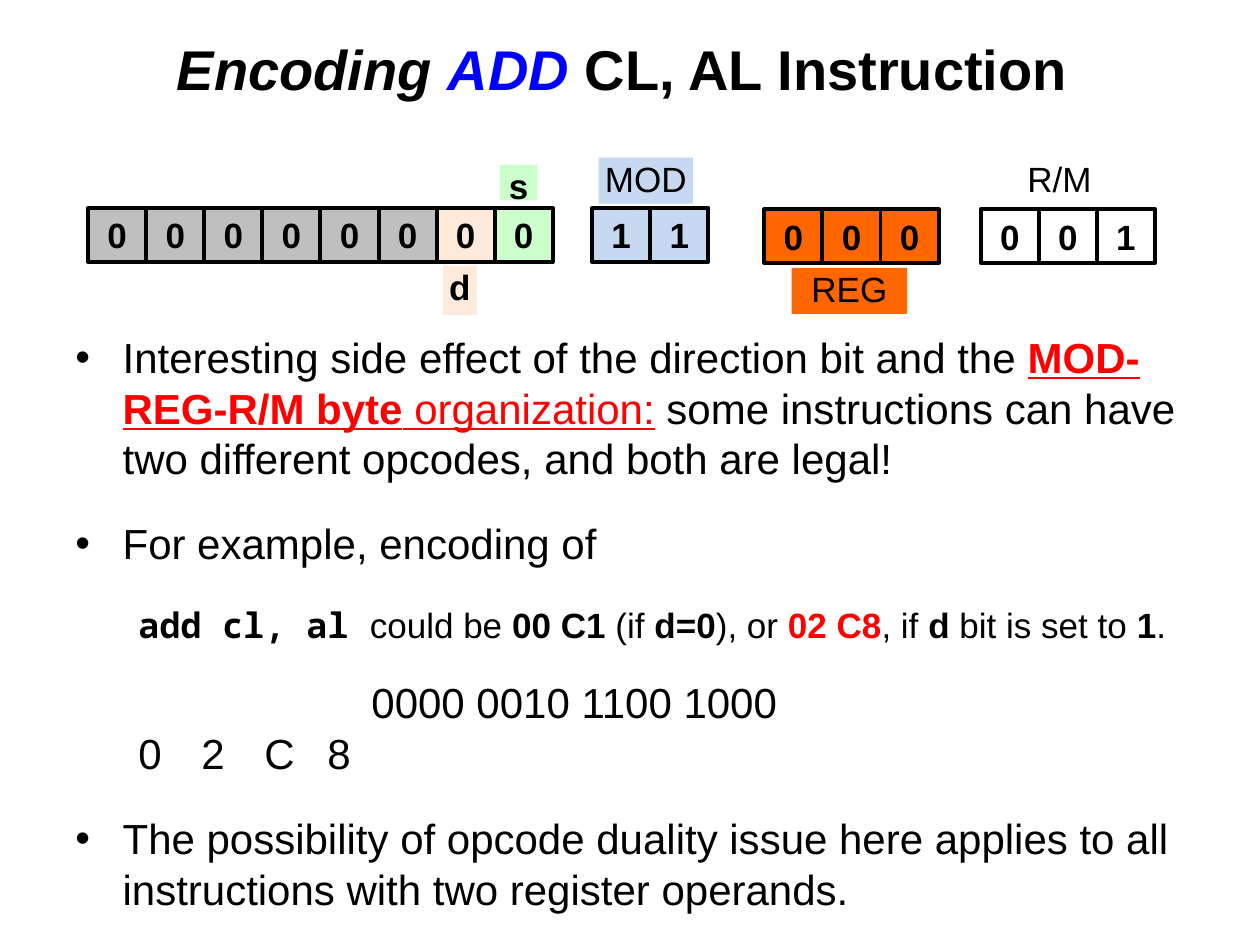
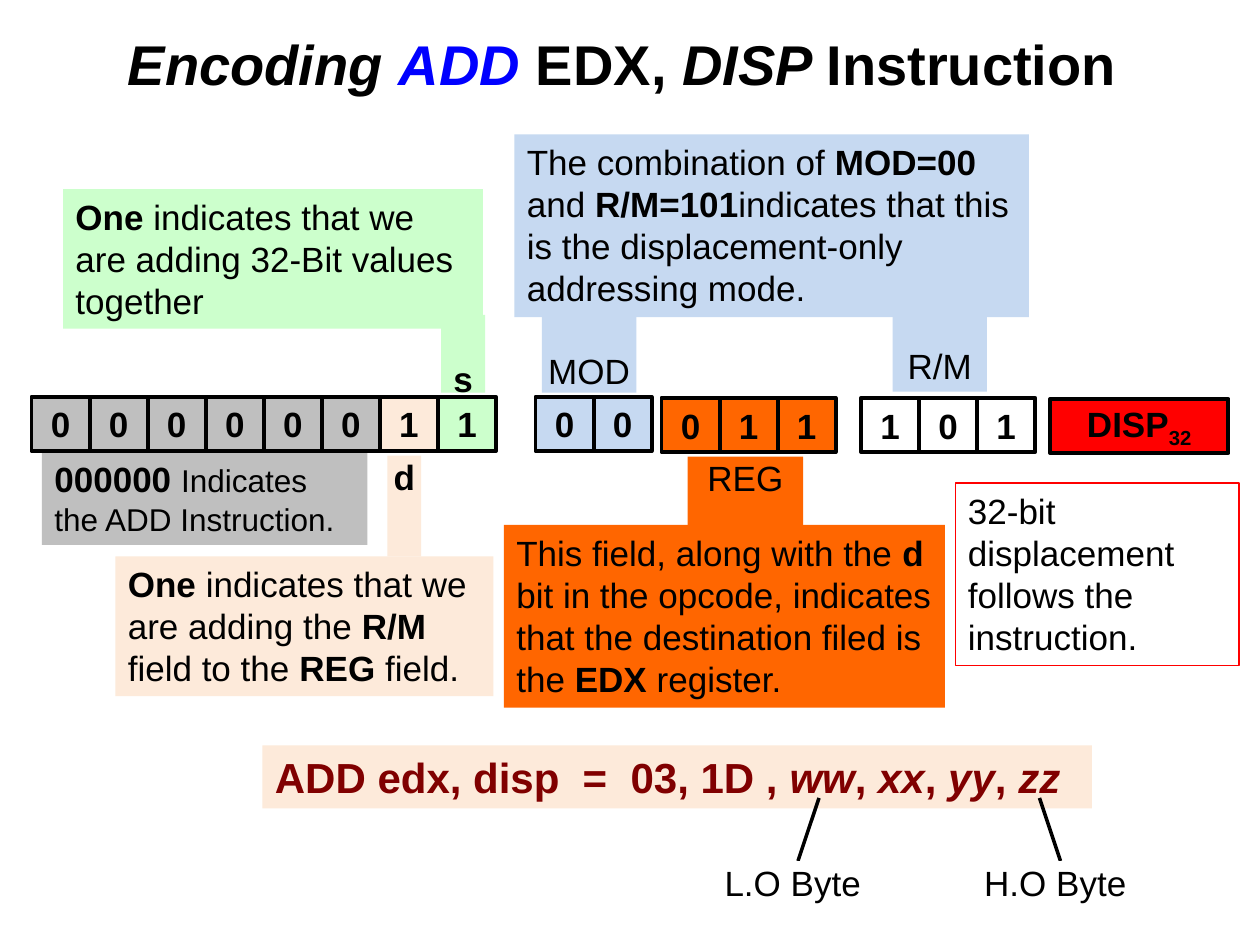
from lxml import etree
from pptx import Presentation
from pptx import util as u
from pptx.dml.color import RGBColor
from pptx.enum import shapes, text
from pptx.oxml.ns import qn

# Grid: 12 columns and 12 rows to the inch
COLUMNS, ROWS = 120, 90
CELL_WIDTH, CELL_HEIGHT = 5.53, 5.16

BLACK = RGBColor(0, 0, 0)
WHITE = RGBColor(255, 255, 255)
BLUE = RGBColor(0, 0, 255)
RED = RGBColor(255, 0, 0)
MAROON = RGBColor(128, 0, 0)
GREY = RGBColor(0xBF, 0xBF, 0xBF)
PEACH = RGBColor(0xFD, 0xEA, 0xDA)
MINT = RGBColor(0xCC, 0xFF, 0xCC)
PALE_BLUE = RGBColor(0xC6, 0xD9, 0xF1)
ORANGE = RGBColor(0xFF, 0x66, 0x00)

# Run styles
BOLD = {"bold": True}
ITALIC = {"italic": True}
PLAIN = {"italic": False}
OPCODE_FILLS = [GREY] * 6 + [PEACH, MINT]


class Deck:
    """Holds the style and the current slide."""

    def __init__(self):
        self.presentation = Presentation()
        self.presentation.slide_width = u.Inches(10)
        self.presentation.slide_height = u.Inches(7.5)
        self.slide = None

    def x(self, columns):
        return round(self.presentation.slide_width * columns / COLUMNS)

    def y(self, rows):
        return round(self.presentation.slide_height * rows / ROWS)

    def area(self, column, row, width, height):
        return self.x(column), self.y(row), self.x(width), self.y(height)

    def new_slide(self, title_height, title_runs):
        layout = self.presentation.slide_layouts[6]
        self.slide = self.presentation.slides.add_slide(layout)
        box = self.slide.shapes.add_textbox(*self.area(6, 2, 108, title_height))
        frame = box.text_frame
        frame.word_wrap = True
        frame.vertical_anchor = text.MSO_ANCHOR.MIDDLE
        self.add_runs(frame.paragraphs[0], title_runs, 32, centred=True,
                      bold=True, italic=True)

    def add_runs(self, paragraph, runs, size, centred=False, **base):
        """Add runs, each a string or a (string, style) pair."""
        paragraph.alignment = text.PP_ALIGN.CENTER if centred else text.PP_ALIGN.LEFT
        for item in runs:
            words, style = (item, {}) if isinstance(item, str) else item
            style = {"name": "Arial", "size": size, "color": BLACK, **base, **style}
            run = paragraph.add_run()
            run.text = words
            run.font.name = style["name"]
            run.font.size = u.Pt(style["size"])
            run.font.color.rgb = style["color"]
            run.font.bold = style.get("bold", False)
            run.font.italic = style.get("italic", False)
            run.font.underline = style.get("underline", False)
            if "baseline" in style:
                run._r.get_or_add_rPr().set("baseline", style["baseline"])

    def box(self, place, fill=None, line=None, line_width=2.25):
        shape = self.slide.shapes.add_shape(
            shapes.MSO_SHAPE.RECTANGLE, *self.area(*place))
        shape.shadow.inherit = False
        if fill is None:
            shape.fill.background()
        else:
            shape.fill.solid()
            shape.fill.fore_color.rgb = fill
        if line is None:
            shape.line.fill.background()
        else:
            shape.line.color.rgb = line
            shape.line.width = u.Pt(line_width)
        return shape

    def label(self, place, runs, fill, line=None, drop=0, wrap=False,
              anchor=text.MSO_ANCHOR.TOP, **style):
        """Centred text without margins, lowered by a number of rows."""
        frame = self.box(place, fill, line).text_frame
        frame.margin_left = frame.margin_right = frame.margin_bottom = 0
        frame.margin_top = self.y(drop)
        frame.word_wrap = wrap
        frame.vertical_anchor = anchor
        self.add_runs(frame.paragraphs[0], runs, 20, centred=True, **style)

    def cell(self, column, row, width, runs, fill):
        self.label((column, row, width, CELL_HEIGHT), runs, fill, line=BLACK,
                   wrap=True, anchor=text.MSO_ANCHOR.MIDDLE, bold=True)

    def bits(self, column, row, digits, fills):
        for index, (digit, fill) in enumerate(zip(digits, fills)):
            self.cell(column + index * CELL_WIDTH, row, CELL_WIDTH, [digit], fill)

    def note(self, place, runs, fill=None, line=None, size=20, **style):
        frame = self.box(place, fill, line, 0.75).text_frame
        frame.word_wrap = True
        frame.auto_size = text.MSO_AUTO_SIZE.SHAPE_TO_FIT_TEXT
        frame.vertical_anchor = text.MSO_ANCHOR.TOP
        self.add_runs(frame.paragraphs[0], runs, size, **style)

    def body(self, place, paragraphs):
        """Paragraphs are (runs, size, space before, left, bullet, tabs)."""
        frame = self.slide.shapes.add_textbox(*self.area(*place)).text_frame
        frame.word_wrap = True
        for index, (runs, size, before, left, bullet, tabs) in enumerate(paragraphs):
            paragraph = frame.add_paragraph() if index else frame.paragraphs[0]
            properties = paragraph._p.get_or_add_pPr()
            properties.set("marL", str(self.x(left)))
            properties.set("indent", str(-self.x(left) if bullet else 0))
            if bullet:
                etree.SubElement(properties, qn("a:buFont")).set("typeface", "Arial")
                etree.SubElement(properties, qn("a:buChar")).set("char", "•")
            else:
                etree.SubElement(properties, qn("a:buNone"))
            if tabs:
                stops = etree.SubElement(properties, qn("a:tabLst"))
                for tab in tabs:
                    stop = etree.SubElement(stops, qn("a:tab"))
                    stop.set("pos", str(self.x(tab)))
                    stop.set("algn", "l")
            paragraph.space_before = u.Pt(before)
            self.add_runs(paragraph, runs, size)

    def line(self, start, end):
        connector = self.slide.shapes.add_connector(
            shapes.MSO_CONNECTOR.STRAIGHT, self.x(start[0]), self.y(start[1]),
            self.x(end[0]), self.y(end[1]))
        connector.line.color.rgb = BLACK
        connector.line.width = u.Pt(2)
        etree.SubElement(connector._element.spPr, qn("a:effectLst"))


def add_cl_al(deck):
    deck.new_slide(9, ["Encoding ", ("ADD ", {"color": BLUE}),
                       ("CL, AL Instruction ", PLAIN)])

    # Explanation
    red_link = {"color": RED, "underline": True}
    deck.body((6, 31, 108, 59), [
        (["Interesting side effect of the direction bit and the ",
          ("MOD-REG-R/M byte", {**red_link, **BOLD}), (" organization:", red_link),
          " some instructions can have two different opcodes, and both are legal!"],
         24, 0, 4.5, True, []),
        (["For example, encoding of"], 24, 20, 4.5, True, []),
        ([("add cl, al ", {"name": "Noto Sans Mono", **BOLD}), "could be ",
          ("00 C1", BOLD), " (if ", ("d=0", BOLD), "), or ",
          ("02 C8", {"color": RED, **BOLD}), ", if ", ("d", BOLD),
          " bit is set to ", ("1", BOLD), "."], 20, 20, 6, False, []),
        (["0000 0010 1100 1000"], 24, 18, 28.2, False, []),
        (["\t0\t2\tC\t8"], 24, 0, 0, False, [31.5, 40.4, 51.5, 62.2]),
        (["The possibility of opcode duality issue here applies to all "
          "instructions with two register operands."], 24, 20, 4.5, True, []),
    ])

    # Opcode byte
    deck.bits(8.4, 19.8, "00000000", OPCODE_FILLS)
    deck.label((42.2, 25.3, 3.2, 4.7), ["d"], PEACH, bold=True)
    deck.label((47.6, 15.7, 3.6, 3.4), ["s"], MINT, bold=True)

    # MOD-REG-R/M byte
    deck.bits(56.4, 19.8, "11", [PALE_BLUE] * 2)
    deck.label((57, 15, 9, 4.4), ["MOD"], PALE_BLUE)
    deck.bits(72.8, 19.9, "000", [ORANGE] * 3)
    deck.label((75.4, 25.5, 11, 4.4), ["REG"], ORANGE)
    deck.bits(93.4, 19.9, "001", [WHITE] * 3)
    deck.label((96.4, 15, 9, 4.4), ["R/M"], WHITE)


def add_edx_disp(deck):
    deck.new_slide(8, ["Encoding ", ("ADD ", {"color": BLUE}), ("EDX, ", PLAIN),
                       "DISP ", ("Instruction ", PLAIN)])

    # Notes on each field
    deck.note((4, 43, 31, 8.9),
              [("000000 ", {"size": 20, **BOLD}), "Indicates the ADD Instruction."],
              GREY, size=18)
    deck.note((11, 53, 36, 13.3),
              [("One ", BOLD), "indicates that we are adding the ", ("R/M", BOLD),
               " field to the ", ("REG ", BOLD), "field."], PEACH)
    deck.note((49, 12.8, 49, 17.4),
              ["The combination of ", ("MOD=00", BOLD), " and ", ("R/M=101", BOLD),
               "indicates that this is the displacement-only addressing mode."],
              PALE_BLUE)
    deck.note((48, 50, 42, 17.4),
              ["This field, along with the ", ("d ", BOLD),
               "bit in the opcode, indicates that the destination filed is the",
               (" EDX ", BOLD), "register."], ORANGE)
    deck.note((6, 18, 40, 13.3),
              [("One ", BOLD), "indicates that we are adding 32-Bit values together"],
              MINT)
    deck.note((91, 46, 27, 17.4),
              ["32-bit displacement follows the instruction."], line=RED)

    # Opcode byte
    deck.bits(3, 37.8, "00000011", OPCODE_FILLS)
    deck.label((36.9, 43.4, 3.2, 9.6), ["d"], PEACH, bold=True)
    deck.label((42, 30, 4.2, 7.4), ["s"], MINT, drop=4.05, bold=True)

    # MOD-REG-R/M byte and displacement
    deck.bits(51, 37.8, "00", [PALE_BLUE] * 2)
    deck.label((51.6, 30, 9, 7.4), ["MOD"], PALE_BLUE, drop=3.24)
    deck.bits(63, 37.9, "011", [ORANGE] * 3)
    deck.label((65.5, 43.5, 11, 7.4), ["REG"], ORANGE)
    deck.bits(82, 37.9, "101", [WHITE] * 3)
    deck.label((85, 30, 9, 7.3), ["R/M"], PALE_BLUE, drop=2.84)
    deck.cell(100, 38, 17, ["DISP", ("32", {"baseline": "-25000"})], RED)

    # Encoded instruction and its byte order
    deck.note((25, 71, 79, 6),
              ["ADD edx, disp  =  03, 1D , ", ("ww", ITALIC), ", ", ("xx", ITALIC),
               ", ", ("yy", ITALIC), ", ", ("zz", ITALIC)],
              PEACH, size=24, color=MAROON, bold=True)
    for column, name, start, end in [(68, "L.O Byte", 78, 76),
                                     (93, "H.O Byte", 99, 101)]:
        deck.line((start, 76), (end, 82))
        deck.label((column, 82, 15, 4), [name], WHITE)


def main():
    deck = Deck()
    add_cl_al(deck)
    add_edx_disp(deck)
    deck.presentation.save("out.pptx")


if __name__ == "__main__":
    main()
